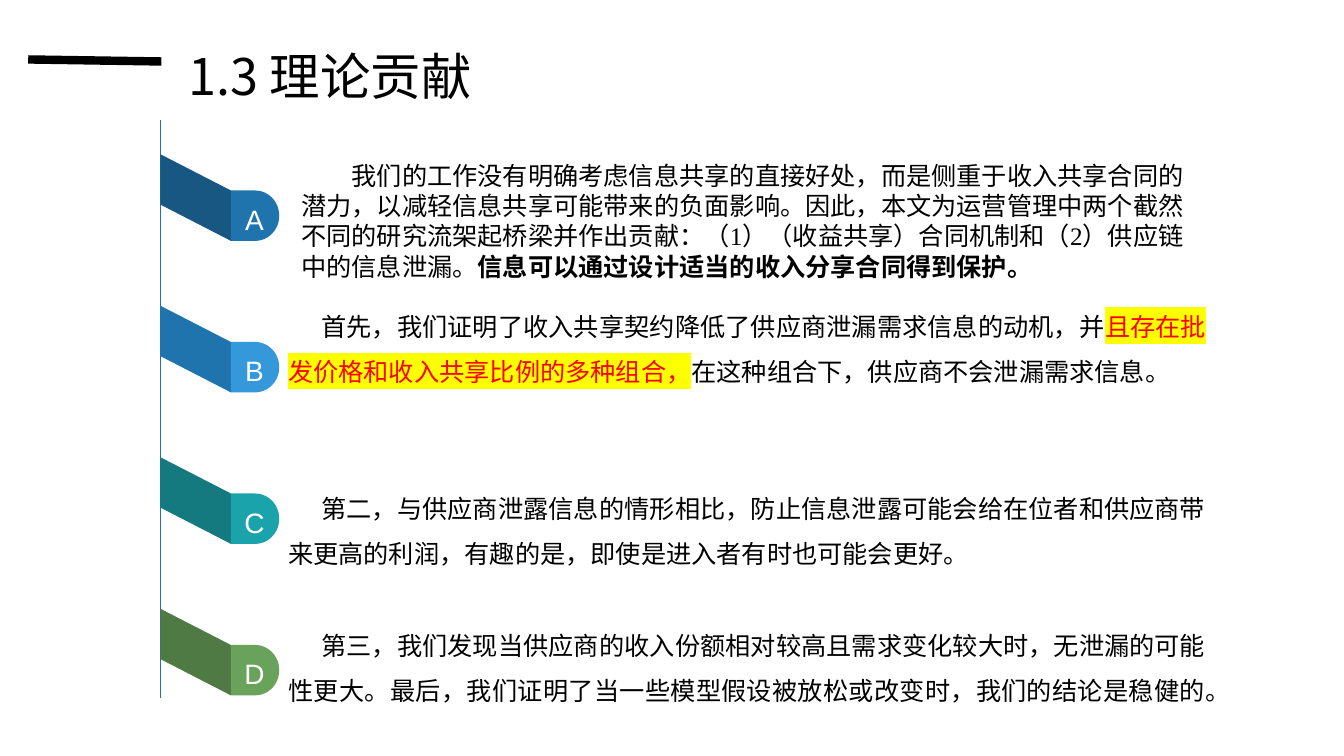
import pptx
import pptx.dml.color
import pptx.enum.shapes
import pptx.enum.text
import pptx.oxml
import pptx.oxml.ns
import pptx.util
from pptx.util import Inches

COLORS = {
    "black": "000000", "white": "FFFFFF", "red": "FF0000", "yellow": "FFFF00",
    "navy": "175782", "blue": "1F74AD", "sky": "3498DB",
    "dark teal": "147A7F", "teal": "1AA3AA",
    "dark green": "4F7A44", "green": "69A35B",
}
SANS = "Noto Sans CJK SC"
SERIF = "Times New Roman"
ALIGN = pptx.enum.text.PP_ALIGN

RIBBONS = [
    ("A", "navy", "blue"),
    ("B", "blue", "sky"),
    ("C", "dark teal", "teal"),
    ("D", "dark green", "green"),
]
SPINE_X, FOLD_X = 1.59, 2.29
FIRST_TOP, STEP = 1.53, 1.503
DROP, BAND = 0.36, 0.5

CONTRIBUTION = [
    ("我们的工作没有明确考虑信息共享的直接好处，而是侧重于收入共享合同的潜力，以减轻信息共享可能带来的负面影响。"
     "因此，本文为运营管理中两个截然不同的研究流架起桥梁并作出贡献：（1）（收益共享）合同机制和（2）供应链中的信息泄漏。",
     {"font": SERIF}),
    ("信息可以通过设计适当的收入分享合同得到保护。", {"font": SANS, "bold": True}),
]
# Space before in points, then the runs
FINDINGS = [
    (0, [
        ("首先，我们证明了收入共享契约降低了供应商泄漏需求信息的动机，并", {}),
        ("且存在批发价格和收入共享比例的多种组合，", {"color": "red", "highlight": "yellow"}),
        ("在这种组合下，供应商不会泄漏需求信息。", {}),
    ]),
    (65, [("第二，与供应商泄露信息的情形相比，防止信息泄露可能会给在位者和供应商带来更高的利润，"
           "有趣的是，即使是进入者有时也可能会更好。", {})]),
    (33, [("第三，我们发现当供应商的收入份额相对较高且需求变化较大时，无泄漏的可能性更大。"
           "最后，我们证明了当一些模型假设被放松或改变时，我们的结论是稳健的。", {})]),
]


def rgb(name):
    return pptx.dml.color.RGBColor.from_string(COLORS[name])


def make_element(tag, **attributes):
    element = pptx.oxml.parse_xml(f"<{tag} {pptx.oxml.ns.nsdecls('a')}/>")
    for key, value in attributes.items():
        element.set(key, value)
    return element


def add_span(para, text, size=18, font=SERIF, color="black", bold=None,
             highlight=None, spacing=None):
    span = para.add_run()
    span.text = text
    span.font.size = pptx.util.Pt(size)
    span.font.name = font
    span.font.bold = bold
    span.font.color.rgb = rgb(color)
    properties = span._r.get_or_add_rPr()
    latin = properties.find(pptx.oxml.ns.qn("a:latin"))
    latin.addnext(make_element("a:ea", typeface=SANS))
    if highlight:
        marker = make_element("a:highlight")
        marker.append(make_element("a:srgbClr", val=COLORS[highlight]))
        latin.addprevious(marker)
    if spacing:
        properties.set("spc", str(spacing * 100))


def add_line(page, start, end, color, width):
    line = page.shapes.add_connector(
        pptx.enum.shapes.MSO_CONNECTOR.STRAIGHT,
        *(Inches(value) for value in start + end))
    line.line.color.rgb = rgb(color)
    line.line.width = pptx.util.Pt(width)
    line._element.spPr.append(make_element("a:effectLst"))


def paint(shape, color):
    shape.shadow.inherit = False
    shape.fill.solid()
    shape.fill.fore_color.rgb = rgb(color)
    shape.line.fill.background()


def add_ribbon(page, top, letter, band_color, tab_color):
    """Draw a slanted band from the spine and its lettered round tab."""
    corners = [(SPINE_X, top), (FOLD_X, top + DROP),
               (FOLD_X, top + DROP + BAND), (SPINE_X, top + BAND)]
    points = [(Inches(x), Inches(y)) for x, y in corners]
    outline = page.shapes.build_freeform(*points[0])
    outline.add_line_segments(points[1:], close=True)
    paint(outline.convert_to_shape(), band_color)

    tab = page.shapes.add_shape(
        pptx.enum.shapes.MSO_SHAPE.FLOWCHART_DELAY,
        Inches(FOLD_X), Inches(top + DROP), Inches(0.48), Inches(BAND))
    paint(tab, tab_color)
    frame = tab.text_frame
    frame.word_wrap = False
    frame.vertical_anchor = pptx.enum.text.MSO_ANCHOR.MIDDLE
    frame.margin_left = Inches(0.06)
    frame.margin_right = frame.margin_top = frame.margin_bottom = 0
    para = frame.paragraphs[0]
    para.alignment = ALIGN.CENTER
    para.line_spacing = 1.2
    add_span(para, letter, size=20, font="Arial", color="white", spacing=3)


def set_title(page, text):
    title = page.shapes.title
    title.left, title.top = Inches(1.77), Inches(0.1)
    title.width, title.height = Inches(4.85), Inches(1.01)
    frame = title.text_frame
    frame.word_wrap = True
    frame.auto_size = pptx.enum.text.MSO_AUTO_SIZE.SHAPE_TO_FIT_TEXT
    frame.vertical_anchor = pptx.enum.text.MSO_ANCHOR.TOP
    para = frame.paragraphs[0]
    para.alignment = ALIGN.LEFT
    para.line_spacing = 1.5
    add_span(para, text, size=36, font=SANS)


def add_text(page, place, paragraphs, indent, align, line_spacing):
    box = page.shapes.add_textbox(*(Inches(value) for value in place))
    frame = box.text_frame
    frame.word_wrap = True
    for index, (gap, spans) in enumerate(paragraphs):
        para = frame.add_paragraph() if index else frame.paragraphs[0]
        para.alignment = align
        para.line_spacing = line_spacing
        para.space_before = pptx.util.Pt(gap)
        para._p.get_or_add_pPr().set("indent", str(Inches(indent)))
        for text, style in spans:
            add_span(para, text, **style)


def main():
    deck = pptx.Presentation()
    deck.slide_width, deck.slide_height = Inches(13.33), Inches(7.5)
    page = deck.slides.add_slide(deck.slide_layouts.get_by_name("Title Only"))

    set_title(page, "1.3 理论贡献")
    add_line(page, (0.28, 0.59), (1.6, 0.61), "black", 6)
    add_line(page, (SPINE_X, 1.19), (SPINE_X, 6.92), "blue", 0.5)
    for index, ribbon in enumerate(RIBBONS):
        add_ribbon(page, FIRST_TOP + index * STEP, *ribbon)
    add_text(page, (2.89, 1.54, 9.06, 1.62), [(0, CONTRIBUTION)],
             0.5, ALIGN.LEFT, 1.0)
    add_text(page, (2.76, 2.89, 9.3, 4.14), FINDINGS, 0.33, ALIGN.JUSTIFY, 1.5)

    deck.save("out.pptx")


if __name__ == "__main__":
    main()
